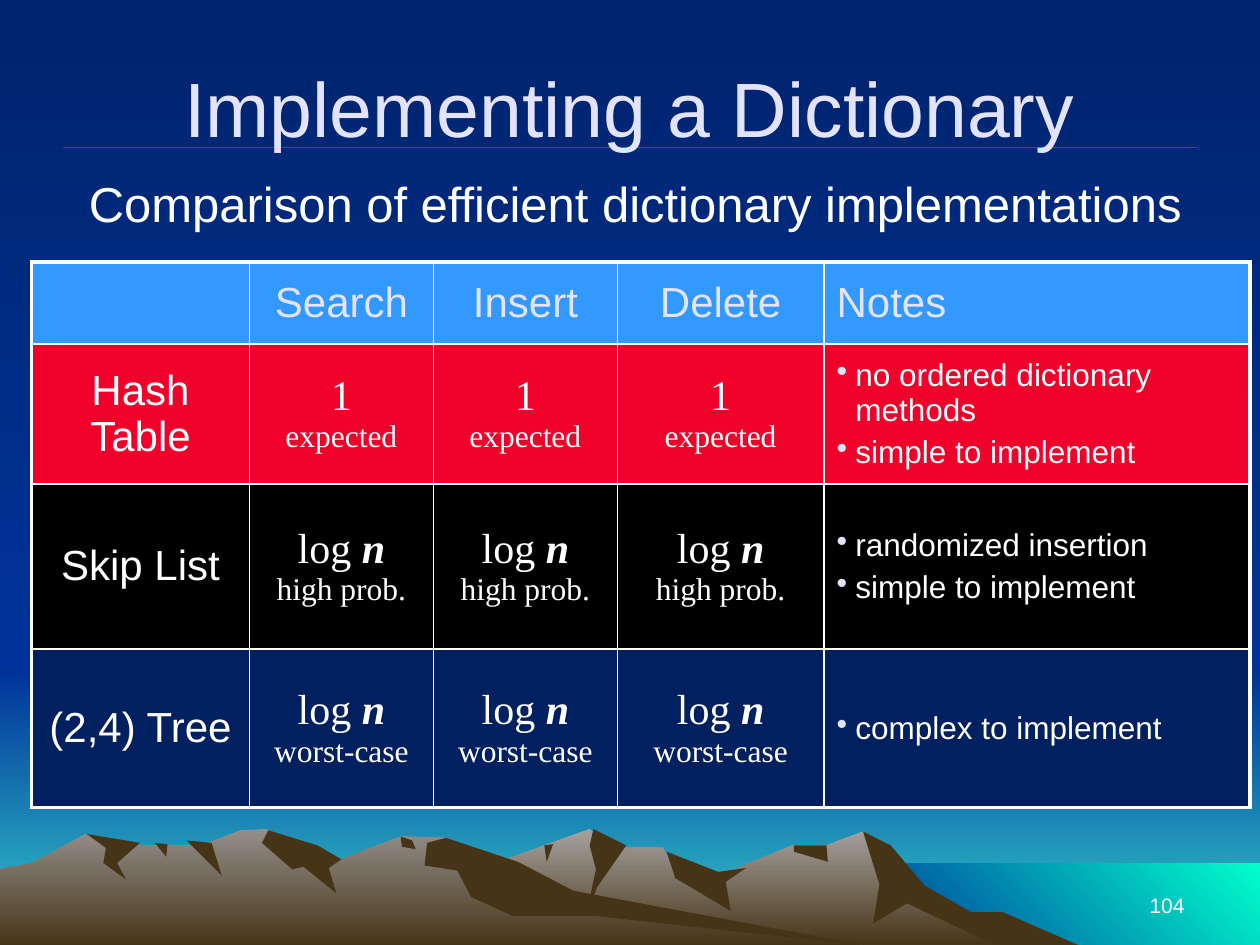
from lxml import etree
from pptx import Presentation
from pptx.dml.color import RGBColor
from pptx.enum.shapes import MSO_CONNECTOR, MSO_SHAPE
from pptx.enum.text import MSO_ANCHOR, PP_ALIGN
from pptx.oxml.ns import qn
from pptx.util import Pt

PX = 9144  # EMU per px, 100 px to the inch
LEFT, CENTER, RIGHT = PP_ALIGN.LEFT, PP_ALIGN.CENTER, PP_ALIGN.RIGHT
TOP, MIDDLE, BOTTOM = MSO_ANCHOR.TOP, MSO_ANCHOR.MIDDLE, MSO_ANCHOR.BOTTOM
RECTANGLE, STRAIGHT = MSO_SHAPE.RECTANGLE, MSO_CONNECTOR.STRAIGHT

WHITE = RGBColor.from_string("FFFFFF")
LAVENDER = RGBColor.from_string("E3E3FF")
NIGHT = RGBColor.from_string("00246D")
BLUE = RGBColor.from_string("003399")
TURQUOISE = RGBColor.from_string("33CCCC")
AQUA = RGBColor.from_string("00FFCC")
EARTH = RGBColor.from_string("463416")
STONE = RGBColor.from_string("938F8B")
PALE_STONE = RGBColor.from_string("A5A29F")
RED = RGBColor.from_string("EF0129")
SKY_BLUE = RGBColor.from_string("3399FF")
BLACK = RGBColor.from_string("000000")
NAVY = RGBColor.from_string("002060")

SANS, SERIF = "Arial", "Times New Roman"
DOWN, UP_RIGHT = 270, 45  # gradient directions

# Outlines in px from the top left of the range: each lit slope, then its shadows
FAR_SLOPE = [(821, 93), (764, 65), (723, 40), (685, 2), (656, 13), (629, 13), (566, 39),
             (536, 32), (526, 15), (486, 15), (468, 0), (394, 27), (327, 51), (258, 93)]
FAR_SHADOWS = [
    [(796, 66), (771, 66), (734, 45), (707, 13), (685, 2), (698, 44), (693, 75), (720, 59),
     (792, 93), (858, 93)],
    [(471, 0), (468, 13), (473, 32), (465, 69), (474, 46), (497, 13)],
    [(529, 18), (536, 39), (580, 65), (576, 42), (592, 31), (570, 34)],
    [(630, 13), (630, 18), (657, 26), (656, 13)],
    [(432, 13), (439, 12), (434, 26)],
]
NEAR_SLOPE = [(690, 93), (432, 54), (354, 7), (318, 6), (271, 24), (236, 23), (212, 0),
              (191, 1), (160, 13), (94, 13), (68, 4), (26, 27), (0, 32), (0, 93)]
NEAR_SHADOWS = [
    [(213, 1), (208, 11), (232, 32), (241, 30), (267, 51), (261, 31), (271, 24), (252, 13)],
    [(354, 7), (339, 11), (337, 29), (363, 33), (374, 54), (407, 69), (472, 69), (690, 93),
     (455, 49), (411, 26)],
    [(318, 6), (327, 9), (330, 16), (319, 14)],
    [(148, 9), (168, 11), (176, 37)],
    [(123, 11), (133, 12), (132, 22)],
    [(69, 4), (111, 11), (93, 27), (100, 40), (82, 27), (84, 15)],
]

HEADER = ["", "Search", "Insert", "Delete", "Notes"]
# (name, cost, is "log n", qualifier, notes, fill)
ROWS = [
    ("Hash Table", "1", False, "expected",
     ["no ordered dictionary methods", "simple to implement"], RED),
    ("Skip List", "log ", True, "high prob.",
     ["randomized insertion", "simple to implement"], BLACK),
    ("(2,4) Tree", "log ", True, "worst-case", ["complex to implement"], NAVY),
]


def emu(box):
    return [length * PX for length in box]


def paint(fill, colors, angle=DOWN):
    """Fill with one colour, or with a gradient between a pair."""
    if isinstance(colors, RGBColor):
        fill.solid()
        fill.fore_color.rgb = colors
        return
    fill.gradient()
    fill.gradient_angle = angle
    for stop, color in zip(fill.gradient_stops, colors):
        stop.color.rgb = color


def finish(shape, colors, angle=DOWN):
    paint(shape.fill, colors, angle)
    shape.line.fill.background()
    shape.shadow.inherit = False


def add_span(para, text, size, color=WHITE, name=SANS, **extra):
    span = para.add_run()
    span.text = text
    span.font.color.rgb = color
    for key, value in {"size": Pt(size), "name": name, **extra}.items():
        setattr(span.font, key, value)


def add_text(page, box, text, size, color, align, anchor):
    frame = page.shapes.add_textbox(*emu(box)).text_frame
    frame.word_wrap = True
    frame.vertical_anchor = anchor
    para = frame.paragraphs[0]
    para.alignment = align
    add_span(para, text, size, color)


def draw_scenery(page, box):
    left, top, width, height = box
    paint(page.background.fill, (NIGHT, BLUE))
    horizon, shore, waterline = 533, 683, 685
    areas = [
        ((left, top + horizon, width, height - horizon), (BLUE, TURQUOISE), DOWN),
        ((left, top, width, horizon), (NIGHT, BLUE), DOWN),
        ((left + shore, top + waterline, width - shore, height - waterline),
         (BLUE, AQUA), UP_RIGHT),
    ]
    for area, colors, angle in areas:
        finish(page.shapes.add_shape(RECTANGLE, *emu(area)), colors, angle)


def draw_mountains(page, box):
    left, top = box[:2]
    for slope, light, shadows in [(FAR_SLOPE, PALE_STONE, FAR_SHADOWS),
                                  (NEAR_SLOPE, STONE, NEAR_SHADOWS)]:
        for points in [slope, *shadows]:
            builder = page.shapes.build_freeform(*points[0], scale=PX)
            builder.add_line_segments(points[1:], close=True)
            outline = builder.convert_to_shape(left * PX, top * PX)
            finish(outline, (light, EARTH) if points is slope else EARTH)


def draw_heading(page, box):
    left, top, width, height = box
    rule_y = top + 70
    rule = page.shapes.add_connector(
        STRAIGHT, *emu((left, rule_y, left + width, rule_y)))
    rule.line.color.rgb = RED
    rule.line.width = Pt(0.75)
    etree.SubElement(rule._element.spPr, qn("a:effectLst"))
    add_text(page, box, "Implementing a Dictionary", 44, LAVENDER, CENTER, MIDDLE)


def add_bullet(para):
    """Hang the paragraph on a lavender dot."""
    hang = 15 * PX
    props = para._p.get_or_add_pPr()
    props.set("marL", str(hang))
    props.set("indent", str(-hang))
    color = etree.SubElement(props, qn("a:buClr"))
    etree.SubElement(color, qn("a:srgbClr"), val=str(LAVENDER))
    etree.SubElement(props, qn("a:buChar"), char="•")


def add_cost(para, cost, has_n, qualifier):
    add_span(para, cost, 24, name=SERIF)
    if has_n:
        add_span(para, "n", 24, name=SERIF, bold=True, italic=True)
    para.add_line_break()
    add_span(para, qualifier, 18, name=SERIF)


def add_notes(frame, notes):
    for index, note in enumerate(notes):
        para = frame.add_paragraph() if index else frame.paragraphs[0]
        add_bullet(para)
        if index:
            para.space_before = Pt(3.6)
        add_span(para, note, 18)


def style_cell(cell, fill, outer):
    """Set fill and white borders, thicker on the outer sides."""
    cell.vertical_anchor = MIDDLE
    props = cell._tc.get_or_add_tcPr()
    for side, is_outer in outer.items():
        width = Pt(2.25 if is_outer else 1)
        border = etree.SubElement(props, qn(f"a:ln{side}"), w=str(width))
        solid = etree.SubElement(border, qn("a:solidFill"))
        etree.SubElement(solid, qn("a:srgbClr"), val=str(WHITE))
    paint(cell.fill, fill)


def draw_table(page, box):
    widths, heights = [173, 146, 146, 164, 338], [65, 111, 131, 126]
    last_row, last_col = len(heights) - 1, len(widths) - 1
    table = page.shapes.add_table(len(heights), len(widths), *emu(box)).table
    for column, width in zip(table.columns, widths):
        column.width = width * PX
    for row, height in zip(table.rows, heights):
        row.height = height * PX

    for r in range(len(heights)):
        for c in range(len(widths)):
            cell = table.cell(r, c)
            outer = {"L": c == 0, "R": c == last_col, "T": r == 0, "B": r == last_row}
            style_cell(cell, ROWS[r - 1][-1] if r else SKY_BLUE, outer)
            para = cell.text_frame.paragraphs[0]
            para.alignment = LEFT if c == last_col else CENTER
            if r == 0:
                if HEADER[c]:
                    add_span(para, HEADER[c], 24, LAVENDER)
                continue
            name, cost, has_n, qualifier, notes, _ = ROWS[r - 1]
            if c == 0:
                add_span(para, name, 24)
            elif c == last_col:
                add_notes(cell.text_frame, notes)
            else:
                add_cost(para, cost, has_n, qualifier)


def main():
    deck = Presentation()
    deck.slide_width, deck.slide_height = emu((1000, 750))
    page = deck.slides.add_slide(deck.slide_layouts[6])
    draw_scenery(page, (0, 0, 1000, 750))
    draw_mountains(page, (0, 658, 858, 93))
    add_text(page, (717, 683, 233, 50), "104", 12, WHITE, RIGHT, BOTTOM)
    draw_heading(page, (50, 47, 900, 76))
    add_text(page, (33, 133, 942, 92), "Comparison of efficient dictionary implementations",
             28, WHITE, CENTER, TOP)
    draw_table(page, (25, 208, 967, 433))
    deck.save("out.pptx")


if __name__ == "__main__":
    main()
